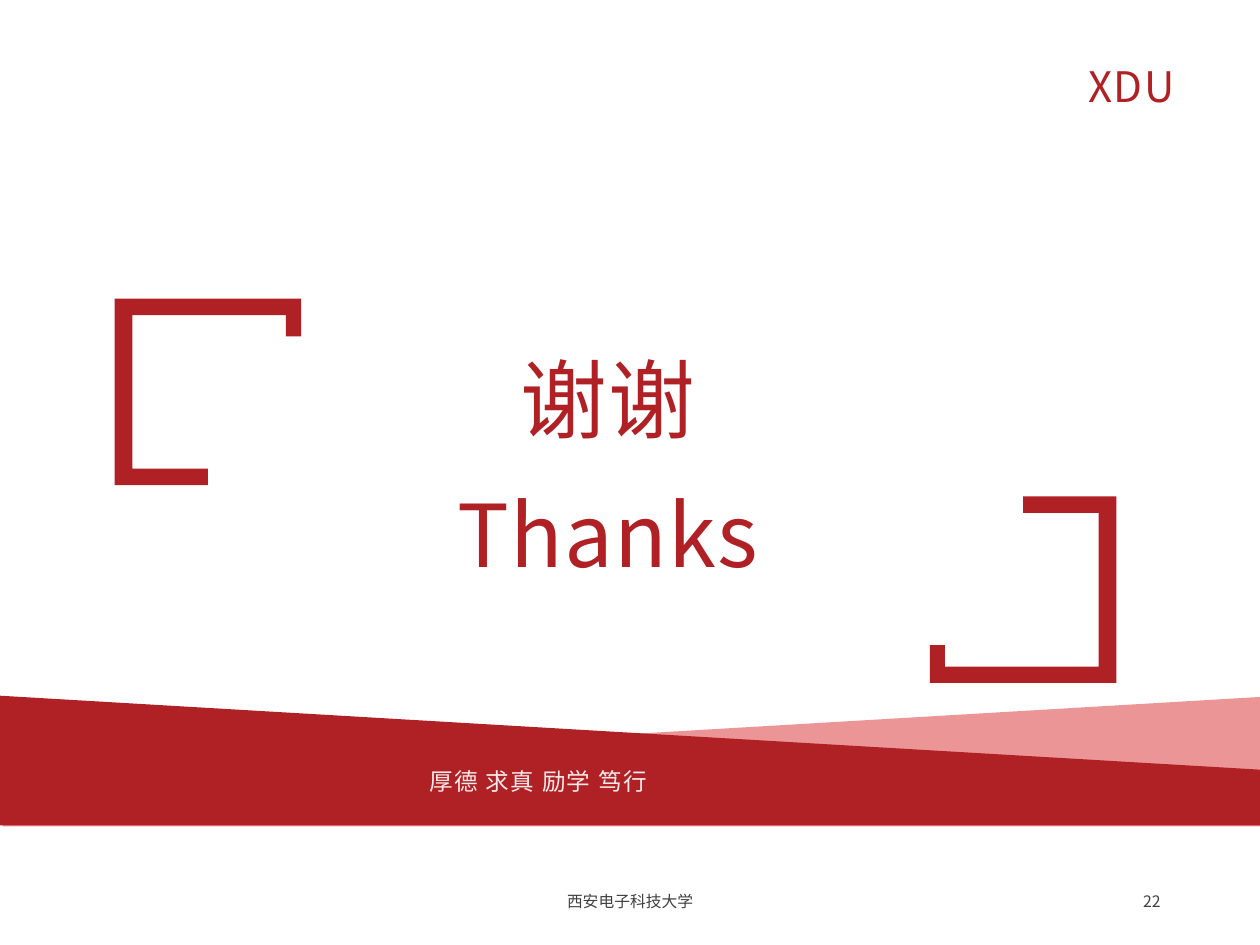
from dataclasses import dataclass

from lxml import etree
from pptx import Presentation
from pptx import util as u
from pptx.dml.color import RGBColor
from pptx.enum import text
from pptx.oxml.ns import qn


@dataclass(frozen=True)
class Theme:
    font: str = "Noto Sans CJK SC"
    red: str = "AF2125"
    pink: str = "EB9597"
    pale: str = "FBEAEA"
    grey: str = "404040"
    white: str = "FFFFFF"
    title: float = 49.5
    mark: float = 24
    motto: float = 13.5
    footer: float = 9
    leading: float = 1.3
    tracking: float = 0.8


def add_text(tf, content, *, theme, size, color, align, leading=None, tracking=None):
    """Write each line of content as one formatted paragraph."""
    for i, line in enumerate(content.split("\n")):
        p = tf.paragraphs[0] if i == 0 else tf.add_paragraph()
        p.alignment = align
        if leading:
            p.line_spacing = leading
        r = p.add_run()
        r.text = line
        r.font.size = u.Pt(size)
        r.font.name = theme.font
        r.font.color.rgb = RGBColor.from_string(color)
        rpr = r.font._element
        if tracking:
            rpr.set("spc", str(round(tracking * 100)))
        etree.SubElement(rpr, qn("a:ea")).set("typeface", theme.font)


class SlideBuilder:
    def __init__(self, s, theme):
        self.s = s
        self.theme = theme

    def background(self, color):
        fill = self.s.background.fill
        fill.solid()
        fill.fore_color.rgb = RGBColor.from_string(color)

    def polygon(self, points, color):
        start, *rest = [(u.Inches(x), u.Inches(y)) for x, y in points]
        builder = self.s.shapes.build_freeform(*start)
        builder.add_line_segments(rest, close=True)
        sp = builder.convert_to_shape()
        sp.shadow.inherit = False
        sp.fill.solid()
        sp.fill.fore_color.rgb = RGBColor.from_string(color)
        sp.line.fill.background()

    def textbox(self, box, content, *, wrap=True, anchor=text.MSO_ANCHOR.TOP, **fmt):
        sp = self.s.shapes.add_textbox(*map(u.Inches, box))
        tf = sp.text_frame
        tf.word_wrap = wrap
        tf.vertical_anchor = anchor
        add_text(tf, content, theme=self.theme, **fmt)

    def display(self, box, content, **fmt):
        self.textbox(box, content, leading=self.theme.leading,
                     tracking=self.theme.tracking, **fmt)

    def footer(self, box, content, align):
        self.textbox(box, content, anchor=text.MSO_ANCHOR.MIDDLE, align=align,
                     size=self.theme.footer, color=self.theme.grey)


def main():
    theme = Theme()
    prs = Presentation()
    prs.slide_width, prs.slide_height = u.Inches(10), u.Inches(7.5)
    slide = SlideBuilder(prs.slides.add_slide(prs.slide_layouts[6]), theme)
    align = text.PP_ALIGN
    slide.background(theme.white)

    # School mark
    slide.display((8.54, 0.31, 0.96, 0.57), "XDU", wrap=False,
                  size=theme.mark, color=theme.red, align=align.JUSTIFY)

    # Footer and page number
    slide.footer((3.31, 6.95, 3.38, 0.4), "西安电子科技大学", align.CENTER)
    slide.footer((7.06, 6.95, 2.25, 0.4), "22", align.RIGHT)

    # Closing words
    slide.display((2.11, 2.45, 5.43, 2.16), "谢谢\nThanks",
                  size=theme.title, color=theme.red, align=align.CENTER)

    # Corner brackets: the lower one is the upper one turned by half a circle
    bracket = [(0.91, 2.37), (2.39, 2.37), (2.39, 2.67), (2.27, 2.67), (2.27, 2.5),
               (1.05, 2.5), (1.05, 3.72), (1.65, 3.72), (1.65, 3.85), (0.91, 3.85)]
    slide.polygon(bracket, theme.red)
    slide.polygon([(9.77 - x, 7.79 - y) for x, y in bracket], theme.red)

    # Crossing bands with the motto
    slide.polygon([(0.03, 6.12), (10.03, 5.53), (10.03, 6.56), (0.02, 6.56)], theme.pink)
    slide.polygon([(10.02, 6.11), (-0.03, 5.52), (-0.03, 6.55), (10.03, 6.55)], theme.red)
    slide.display((3.31, 5.97, 3.44, 0.37), "厚德 求真 励学 笃行",
                  size=theme.motto, color=theme.pale, align=align.JUSTIFY)

    prs.save("out.pptx")


if __name__ == "__main__":
    main()
